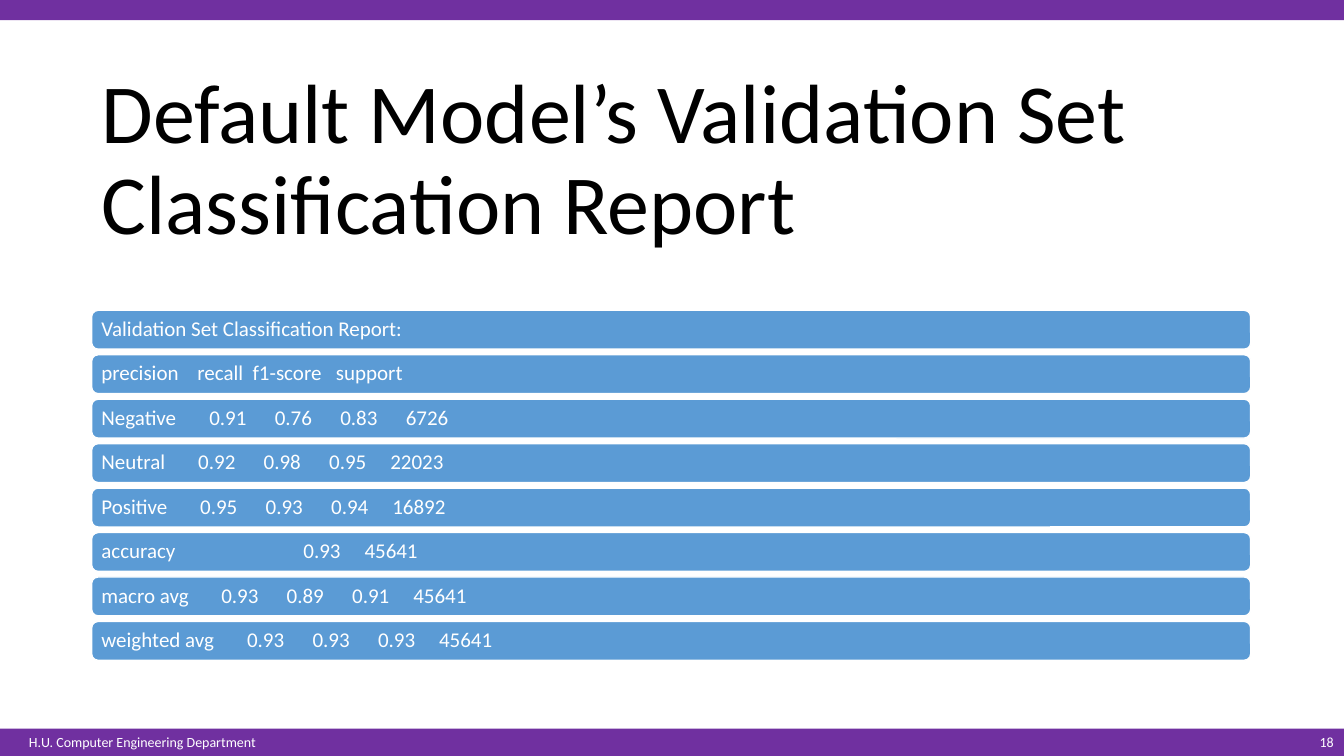
"""Build the slide with the validation set classification report."""
from dataclasses import dataclass

from lxml import etree
from pptx import Presentation
from pptx.dml.color import RGBColor
from pptx.enum.shapes import MSO_SHAPE
from pptx.enum.text import MSO_ANCHOR, PP_ALIGN
from pptx.oxml.ns import qn
from pptx.shapes.autoshape import Shape
from pptx.slide import Slide
from pptx.util import Cm, Pt

RECTANGLE, ROUNDED = MSO_SHAPE.RECTANGLE, MSO_SHAPE.ROUNDED_RECTANGLE
TOP, MIDDLE, BOTTOM = MSO_ANCHOR.TOP, MSO_ANCHOR.MIDDLE, MSO_ANCHOR.BOTTOM
LEFT, RIGHT = PP_ALIGN.LEFT, PP_ALIGN.RIGHT


@dataclass(frozen=True)
class Theme:
    """Colours, font and type sizes of the slide."""
    band: RGBColor = RGBColor(0x70, 0x30, 0xA0)
    row: RGBColor = RGBColor(0x5B, 0x9B, 0xD5)
    light: RGBColor = RGBColor(0xFF, 0xFF, 0xFF)
    dark: RGBColor = RGBColor(0x00, 0x00, 0x00)
    font: str = "Calibri"
    title_size: int = 60
    row_size: int = 15
    footer_size: int = 10


@dataclass(frozen=True)
class Box:
    """Place and size in centimetres."""
    left: float
    top: float
    width: float
    height: float

    def lengths(self) -> tuple[Cm, Cm, Cm, Cm]:
        """Return left, top, width and height as lengths."""
        return Cm(self.left), Cm(self.top), Cm(self.width), Cm(self.height)


@dataclass(frozen=True)
class Caption:
    """Text standing directly on the slide."""
    text: str
    box: Box
    size: int
    color: RGBColor
    anchor: MSO_ANCHOR
    align: PP_ALIGN = LEFT
    wrap: bool = True
    line_spacing: float = 1.0


@dataclass(frozen=True)
class ReportRow:
    """Cells of a report line, its first tab stop and the gaps to the next."""
    cells: tuple[str, ...]
    first_stop: float = 0
    gaps: tuple[float, ...] = ()

    def stops(self) -> list[float]:
        """Return the tab stops in centimetres."""
        return [self.first_stop + sum(self.gaps[:count])
                for count in range(len(self.cells) - 1)]


THEME = Theme()
SLIDE_WIDTH, SLIDE_HEIGHT = 33.87, 19.05
FOOTER_TOP, FOOTER_HEIGHT = 18.36, 0.69
CONTENT_LEFT, CONTENT_WIDTH = 2.31, 29.21
ROWS_TOP, ROW_PITCH, ROW_HEIGHT, ROW_INSET = 7.82, 1.12, 0.98, 0.2
SCORE_GAP, TOTAL_GAP = 1.65, 1.54
SCORE_GAPS = (SCORE_GAP, SCORE_GAP, TOTAL_GAP)

BANDS = (
    Box(0, FOOTER_TOP, SLIDE_WIDTH, FOOTER_HEIGHT),
    Box(0, 0, SLIDE_WIDTH, 0.51),
)
CAPTIONS = (
    Caption("H.U. Computer Engineering Department",
            Box(0.48, FOOTER_TOP, 6.32, FOOTER_HEIGHT),
            THEME.footer_size, THEME.light, TOP, wrap=False),
    Caption("18", Box(31.14, FOOTER_TOP, 2.72, 0.66),
            THEME.footer_size, THEME.light, MIDDLE, RIGHT),
    Caption("Default Model’s Validation Set Classification Report",
            Box(CONTENT_LEFT, 1.02, CONTENT_WIDTH, 5.46),
            THEME.title_size, THEME.dark, BOTTOM, line_spacing=0.9),
)
REPORT = (
    ReportRow(("Validation Set Classification Report:",)),
    ReportRow(("precision", "recall", "f1-score", "support"), 2.42, (1.39, 2.1)),
    ReportRow(("Negative", "0.91", "0.76", "0.83", "6726"), 2.72, (SCORE_GAP,) * 3),
    ReportRow(("Neutral", "0.92", "0.98", "0.95", "22023"), 2.44, SCORE_GAPS),
    ReportRow(("Positive", "0.95", "0.93", "0.94", "16892"), 2.49, SCORE_GAPS),
    ReportRow(("accuracy", "0.93", "45641"), 5.09, (TOTAL_GAP,)),
    ReportRow(("macro avg", "0.93", "0.89", "0.91", "45641"), 3.02, SCORE_GAPS),
    ReportRow(("weighted avg", "0.93", "0.93", "0.93", "45641"), 3.67, SCORE_GAPS),
)


def write(holder: Shape, text: str, size: int, color: RGBColor,
          anchor: MSO_ANCHOR, align: PP_ALIGN, line_spacing: float) -> None:
    """Write one formatted paragraph into a shape."""
    frame = holder.text_frame
    frame.text = text
    frame.vertical_anchor = anchor
    paragraph = frame.paragraphs[0]
    paragraph.alignment = align
    paragraph.line_spacing = line_spacing
    for run in paragraph.runs:
        run.font.name = THEME.font
        run.font.size = Pt(size)
        run.font.color.rgb = color


def add_panel(slide: Slide, preset: MSO_SHAPE, box: Box, fill: RGBColor) -> Shape:
    """Add a flat filled shape without an outline."""
    panel = slide.shapes.add_shape(preset, *box.lengths())
    panel.shadow.inherit = False
    panel.fill.solid()
    panel.fill.fore_color.rgb = fill
    panel.line.fill.background()
    return panel


def add_caption(slide: Slide, caption: Caption) -> None:
    """Add a text box for a caption."""
    holder = slide.shapes.add_textbox(*caption.box.lengths())
    holder.text_frame.word_wrap = caption.wrap
    write(holder, caption.text, caption.size, caption.color,
          caption.anchor, caption.align, caption.line_spacing)


def set_tab_stops(bar: Shape, stops: list[float]) -> None:
    """Give the paragraph of a bar its left tab stops."""
    properties = bar.text_frame.paragraphs[0]._p.get_or_add_pPr()
    tab_list = etree.SubElement(properties, qn("a:tabLst"))
    for stop in stops:
        etree.SubElement(tab_list, qn("a:tab"), pos=str(int(Cm(stop))), algn="l")


def add_report_row(slide: Slide, row: ReportRow, index: int) -> None:
    """Add one bar of the report."""
    box = Box(CONTENT_LEFT, ROWS_TOP + index * ROW_PITCH, CONTENT_WIDTH, ROW_HEIGHT)
    bar = add_panel(slide, ROUNDED, box, THEME.row)
    bar.line.color.rgb = THEME.light
    bar.line.width = Pt(1)
    frame = bar.text_frame
    frame.word_wrap = True
    frame.margin_left = frame.margin_right = Cm(ROW_INSET)
    frame.margin_top = frame.margin_bottom = Cm(0)
    write(bar, "\t".join(row.cells), THEME.row_size, THEME.light, MIDDLE, LEFT, 0.9)
    set_tab_stops(bar, row.stops())


def main() -> None:
    """Build and save the presentation."""
    presentation = Presentation()
    presentation.slide_width = Cm(SLIDE_WIDTH)
    presentation.slide_height = Cm(SLIDE_HEIGHT)
    slide = presentation.slides.add_slide(presentation.slide_layouts[6])
    for band in BANDS:
        add_panel(slide, RECTANGLE, band, THEME.band)
    for caption in CAPTIONS:
        add_caption(slide, caption)
    for index, row in enumerate(REPORT):
        add_report_row(slide, row, index)
    presentation.save("out.pptx")


if __name__ == "__main__":
    main()
